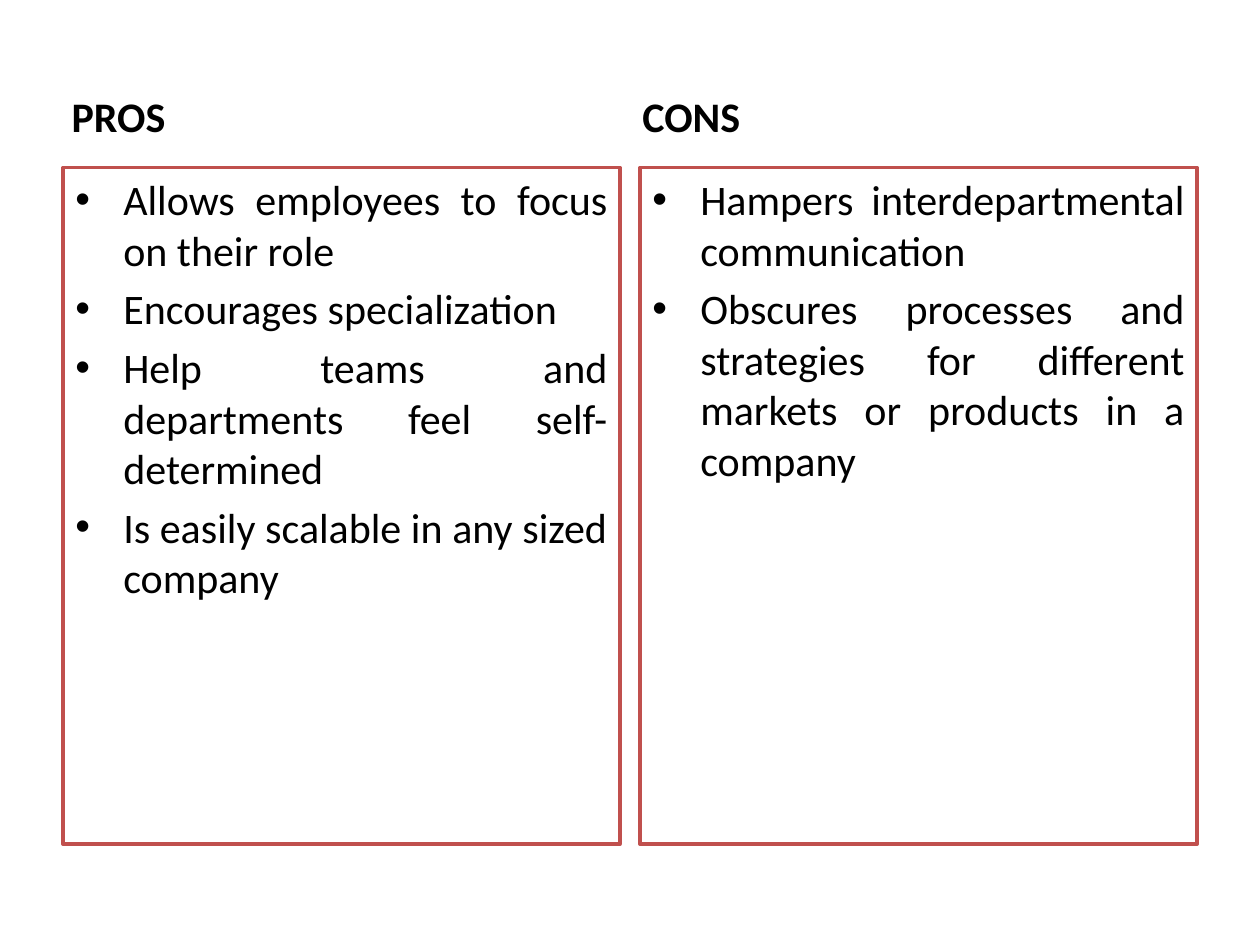
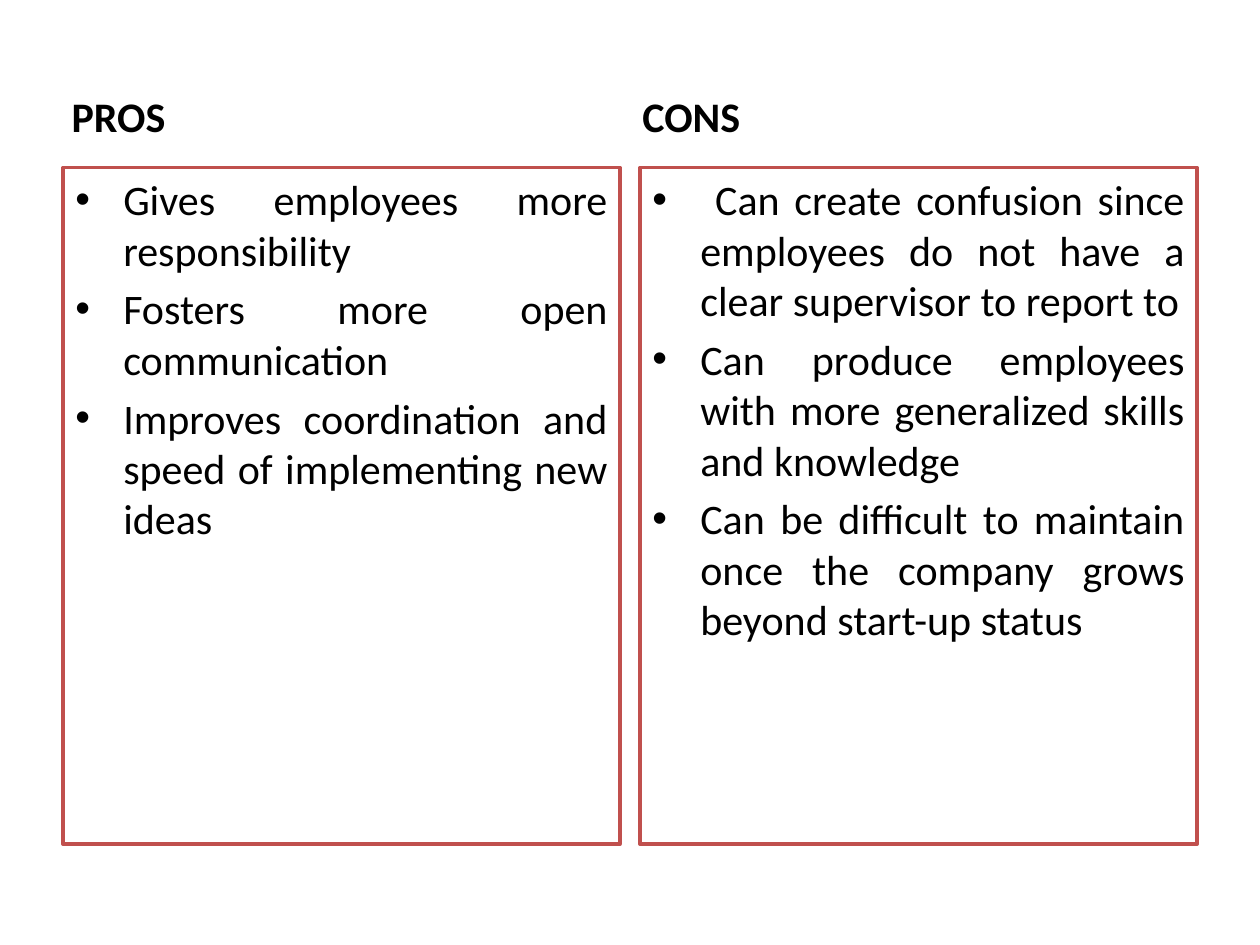
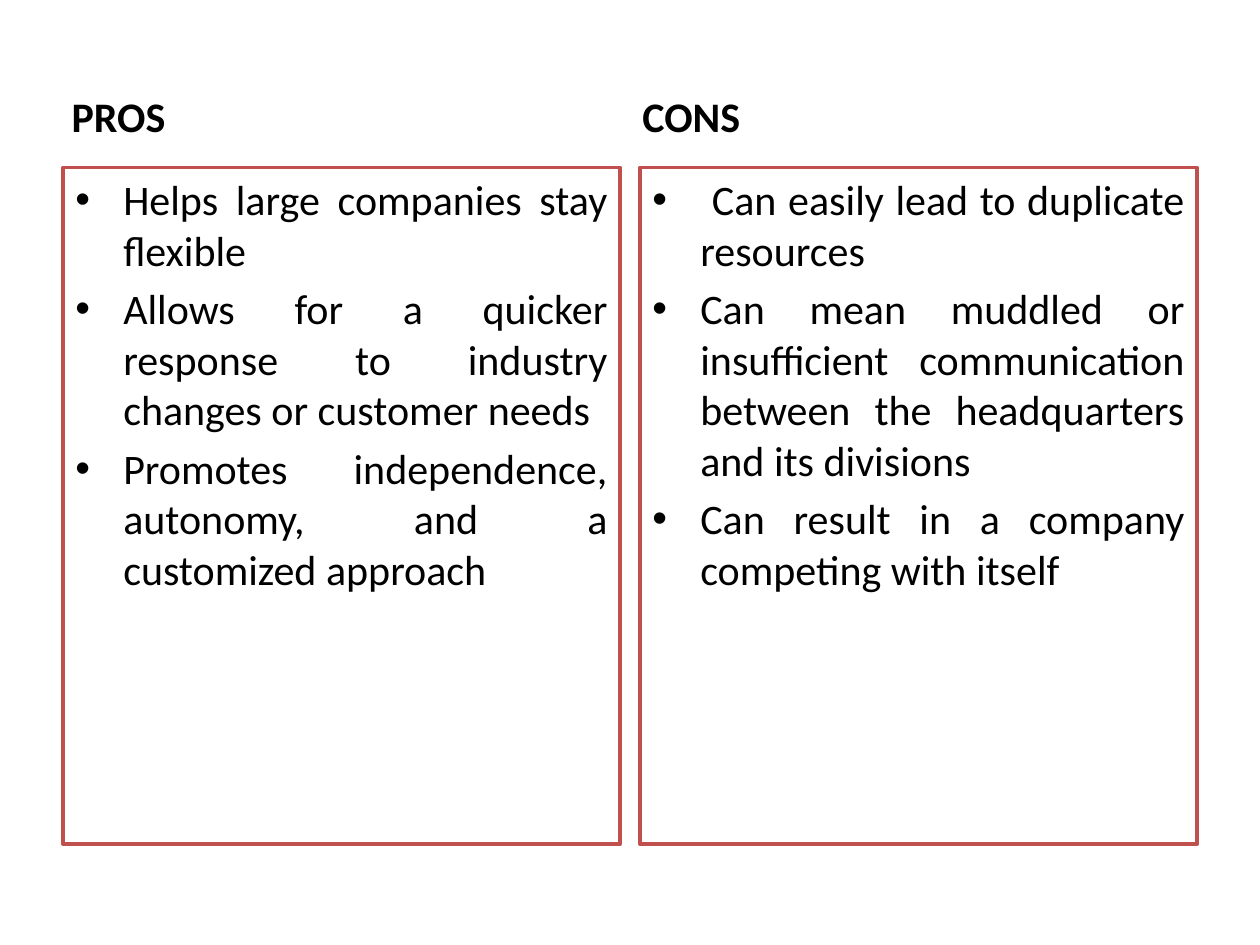
"""Builds three slides that compare the pros and cons of company structures."""
from lxml import etree
from pptx import Presentation
from pptx.dml.color import RGBColor
from pptx.enum.shapes import MSO_SHAPE
from pptx.enum.text import MSO_ANCHOR, PP_ALIGN
from pptx.oxml.ns import qn
from pptx.util import Inches, Pt

RECTANGLE = MSO_SHAPE.RECTANGLE
TOP, BOTTOM = MSO_ANCHOR.TOP, MSO_ANCHOR.BOTTOM
LEFT, JUSTIFY = PP_ALIGN.LEFT, PP_ALIGN.JUSTIFY

COMPARISONS = [
    {
        "PROS": [
            "Allows employees to focus on their role",
            "Encourages specialization",
            "Help teams and departments feel self-determined",
            "Is easily scalable in any sized company",
        ],
        "CONS": [
            "Hampers interdepartmental communication",
            "Obscures processes and strategies for different markets or products in a company",
        ],
    },
    {
        "PROS": [
            "Gives employees more responsibility",
            "Fosters more open communication",
            "Improves coordination and speed of implementing new ideas",
        ],
        "CONS": [
            " Can create confusion since employees do not have a clear supervisor to report to",
            "Can produce employees with more generalized skills and knowledge",
            "Can be difficult to maintain once the company grows beyond start-up status",
        ],
    },
    {
        "PROS": [
            "Helps large companies stay flexible",
            "Allows for a quicker response to industry changes or customer needs",
            "Promotes independence, autonomy, and a customized approach",
        ],
        "CONS": [
            " Can easily lead to duplicate resources",
            "Can mean muddled or insufficient communication between the headquarters and its divisions",
            "Can result in a company competing with itself",
        ],
    },
]

FONT, TEXT_SIZE = "Calibri", 24
BLACK, WHITE, RED = "000000", "FFFFFF", "C0504D"
SLIDE_WIDTH, SLIDE_HEIGHT = 10, 7.5
COLUMN_WIDTH = 4.42
HEADING_LEFTS, HEADING_TOP, HEADING_HEIGHT = (0.47, 5), 0.47, 0.7
PANEL_LEFTS, PANEL_TOP, PANEL_HEIGHT = (0.5, 5.08), 1.33, 5.37
BULLET_INDENT = 0.38


def color(hex_string):
    return RGBColor.from_string(hex_string)


def add_bullet(paragraph):
    properties = paragraph._p.get_or_add_pPr()
    properties.set("marL", str(Inches(BULLET_INDENT)))
    properties.set("indent", str(-Inches(BULLET_INDENT)))
    etree.SubElement(properties, qn("a:buFont"), typeface="Arial")
    etree.SubElement(properties, qn("a:buChar"), char="•")


def write(shape, lines, bold=False, align=LEFT, anchor=TOP, bullets=False):
    frame = shape.text_frame
    frame.word_wrap = True
    frame.vertical_anchor = anchor
    for index, line in enumerate(lines):
        paragraph = frame.add_paragraph() if index else frame.paragraphs[0]
        paragraph.alignment = align
        paragraph.space_before = Pt(TEXT_SIZE * 0.2)
        if bullets:
            add_bullet(paragraph)
        run = paragraph.add_run()
        run.text = line
        run.font.name = FONT
        run.font.size = Pt(TEXT_SIZE)
        run.font.bold = bold
        run.font.color.rgb = color(BLACK)


def add_heading(slide, heading, left):
    box = slide.shapes.add_textbox(
        Inches(left), Inches(HEADING_TOP), Inches(COLUMN_WIDTH), Inches(HEADING_HEIGHT))
    write(box, [heading], bold=True, anchor=BOTTOM)


def add_panel(slide, points, left):
    panel = slide.shapes.add_shape(
        RECTANGLE, Inches(left), Inches(PANEL_TOP), Inches(COLUMN_WIDTH), Inches(PANEL_HEIGHT))
    panel.shadow.inherit = False
    panel.fill.solid()
    panel.fill.fore_color.rgb = color(WHITE)
    panel.line.color.rgb = color(RED)
    panel.line.width = Pt(2)
    write(panel, points, align=JUSTIFY, bullets=True)


def main():
    deck = Presentation()
    deck.slide_width, deck.slide_height = Inches(SLIDE_WIDTH), Inches(SLIDE_HEIGHT)
    for comparison in COMPARISONS:
        slide = deck.slides.add_slide(deck.slide_layouts[6])
        columns = zip(comparison.items(), HEADING_LEFTS, PANEL_LEFTS)
        for (heading, points), heading_left, panel_left in columns:
            add_heading(slide, heading, heading_left)
            add_panel(slide, points, panel_left)
    deck.save("out.pptx")


if __name__ == "__main__":
    main()
